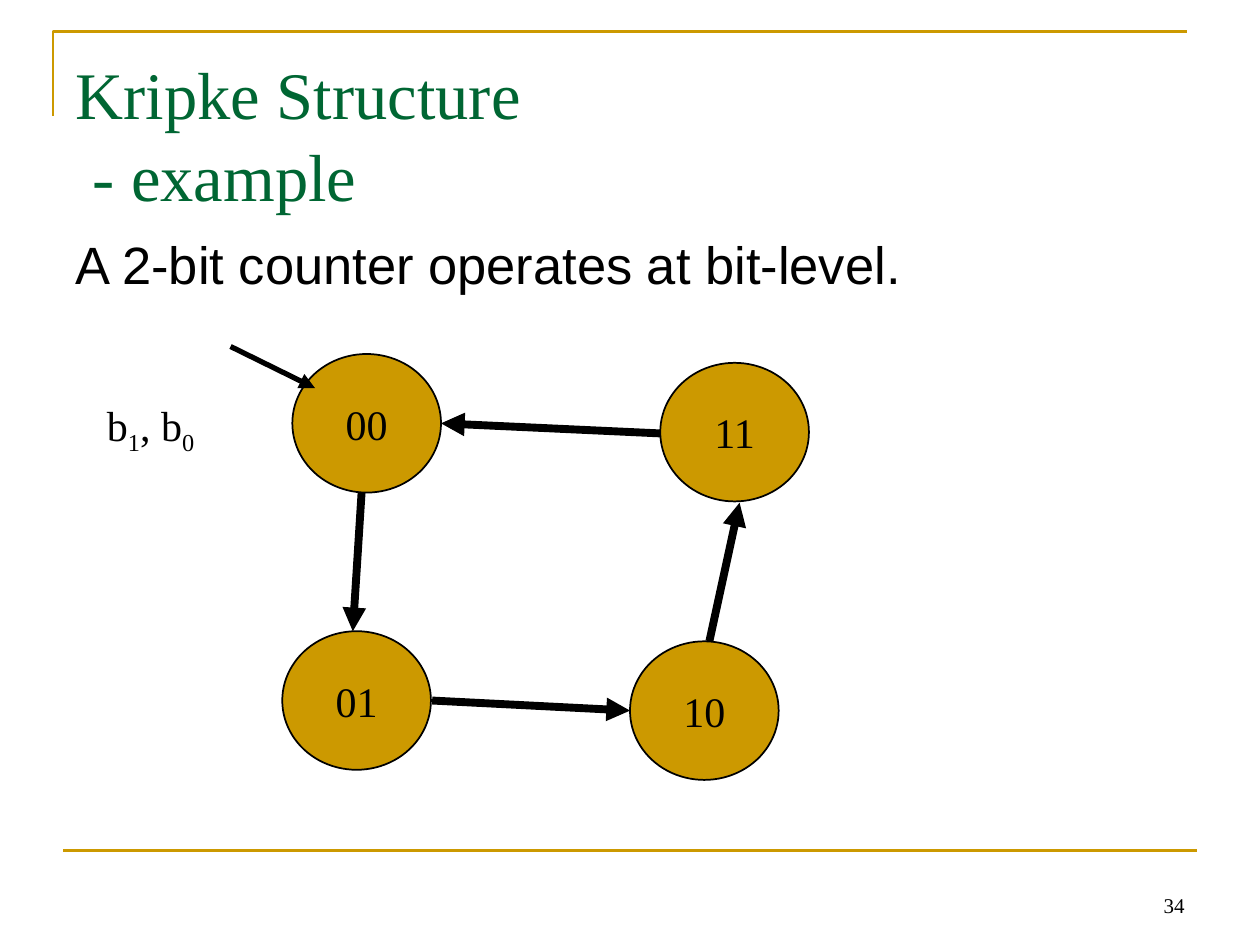
from dataclasses import dataclass

from lxml import etree
from pptx import Presentation
from pptx import util as u
from pptx.dml.color import RGBColor
from pptx.enum import shapes, text
from pptx.oxml.ns import qn


@dataclass(frozen=True)
class Theme:
    gold: str = "CC9900"
    green: str = "006633"
    black: str = "000000"
    serif: str = "Times New Roman"
    sans: str = "Arial"
    title_size: int = 38
    body_size: int = 30
    label_size: int = 24
    number_size: int = 12


def write(frame, content, size, font, color, align=text.PP_ALIGN.LEFT,
          anchor=text.MSO_ANCHOR.TOP, wrap=True, top=0.05):
    """Fill a text frame; content is a string or a list of (string, baseline) runs."""
    frame.auto_size = text.MSO_AUTO_SIZE.NONE
    frame.word_wrap = wrap
    frame.vertical_anchor = anchor
    frame.margin_left = frame.margin_right = u.Inches(0.1)
    frame.margin_top, frame.margin_bottom = u.Inches(top), u.Inches(0.05)
    paragraph = frame.paragraphs[0]
    paragraph.alignment = align
    paragraph.space_before = u.Pt(0)
    if isinstance(content, str):
        paragraph.text = content
    else:
        for words, baseline in content:
            run = paragraph.add_run()
            run.text = words
            if baseline:
                run.font._element.set("baseline", str(baseline * 1000))
    for run in paragraph.runs:
        run.font.size = u.Pt(size)
        run.font.name = font
        run.font.color.rgb = RGBColor.from_string(color)
    return paragraph


class SlideBuilder:
    def __init__(self, slide, theme):
        self.slide = slide
        self.theme = theme

    def place(self, shape, *box):
        shape.left, shape.top, shape.width, shape.height = map(u.Inches, box)

    def outline(self, line, color, width):
        line.color.rgb = RGBColor.from_string(color)
        line.width = u.Pt(width)

    def title(self, content, *box):
        shape = self.slide.shapes.title
        self.place(shape, *box)
        paragraph = write(shape.text_frame, content, self.theme.title_size,
                          self.theme.serif, self.theme.green, top=0.1)
        paragraph.line_spacing = 1.03

    def body(self, content, *box):
        shape = self.slide.placeholders[1]
        self.place(shape, *box)
        paragraph = shape.text_frame.paragraphs[0]
        properties = paragraph._p.get_or_add_pPr()
        properties.set("marL", str(u.Inches(0.38)))
        properties.set("indent", str(u.Inches(-0.38)))
        etree.SubElement(properties, qn("a:buNone"))
        write(shape.text_frame, content, self.theme.body_size,
              self.theme.sans, self.theme.black, top=0.09)

    def label(self, content, *box, **style):
        shape = self.slide.shapes.add_textbox(*map(u.Inches, box))
        style = {"size": self.theme.label_size, "font": self.theme.serif,
                 "color": self.theme.black, **style}
        write(shape.text_frame, content, **style)

    def corner(self, left, top, right, bottom):
        """Draw the open frame corner above and left of the title."""
        builder = self.slide.shapes.build_freeform(u.Inches(left), u.Inches(bottom))
        points = [(left, top), (right, top)]
        builder.add_line_segments([(u.Inches(x), u.Inches(y)) for x, y in points],
                                  close=False)
        shape = builder.convert_to_shape()
        shape.shadow.inherit = False
        shape.fill.background()
        self.outline(shape.line, self.theme.gold, 1.5)

    def state(self, name, left, top):
        shape = self.slide.shapes.add_shape(
            shapes.MSO_SHAPE.OVAL, *map(u.Inches, (left, top, 1.18, 1.1)))
        shape.shadow.inherit = False
        shape.fill.solid()
        shape.fill.fore_color.rgb = RGBColor.from_string(self.theme.gold)
        self.outline(shape.line, self.theme.black, 1)
        write(shape.text_frame, name, self.theme.label_size, self.theme.serif,
              self.theme.black, text.PP_ALIGN.CENTER, text.MSO_ANCHOR.MIDDLE, wrap=False)

    def line(self, start, end, color, width, arrow=False):
        connector = self.slide.shapes.add_connector(
            shapes.MSO_CONNECTOR.STRAIGHT, *map(u.Inches, (*start, *end)))
        self.outline(connector.line, color, width)
        if arrow:
            etree.SubElement(connector.line._get_or_add_ln(), qn("a:tailEnd"),
                             type="triangle")
        etree.SubElement(connector._element.spPr, qn("a:effectLst"))


def main():
    theme = Theme()
    presentation = Presentation()
    presentation.slide_width, presentation.slide_height = u.Inches(10), u.Inches(7.5)
    slide = presentation.slides.add_slide(presentation.slide_layouts[1])
    builder = SlideBuilder(slide, theme)

    builder.corner(0.42, 0.25, 9.42, 0.92)
    builder.line((0.5, 6.75), (9.5, 6.75), theme.gold, 1.5)
    builder.label("34", 7.17, 6.83, 2.33, 0.5, size=theme.number_size,
                  align=text.PP_ALIGN.RIGHT, anchor=text.MSO_ANCHOR.BOTTOM)
    builder.title("Kripke Structure\v - example", 0.5, 0.3, 9, 1.25)
    builder.body("A 2-bit counter operates at bit-level.", 0.5, 1.75, 9, 4.95)

    states = [("00", 2.32, 2.81), ("11", 5.24, 2.88), ("10", 5, 5.09), ("01", 2.24, 5.01)]
    for name, left, top in states:
        builder.state(name, left, top)

    transitions = [
        ((2.87, 3.91), (2.8, 5.01)),
        ((3.43, 5.56), (5, 5.64)),
        ((5.63, 5.09), (5.87, 3.99)),
        ((5.24, 3.44), (3.5, 3.36)),
    ]
    for start, end in transitions:
        builder.line(start, end, theme.black, 4.5, arrow=True)

    builder.label([("b", 0), ("1", -25), (", b", 0), ("0", -25)], 0.75, 3.12, 1.34, 0.56)
    builder.line((1.83, 2.75), (2.5, 3.08), theme.black, 3, arrow=True)

    presentation.save("out.pptx")


if __name__ == "__main__":
    main()
